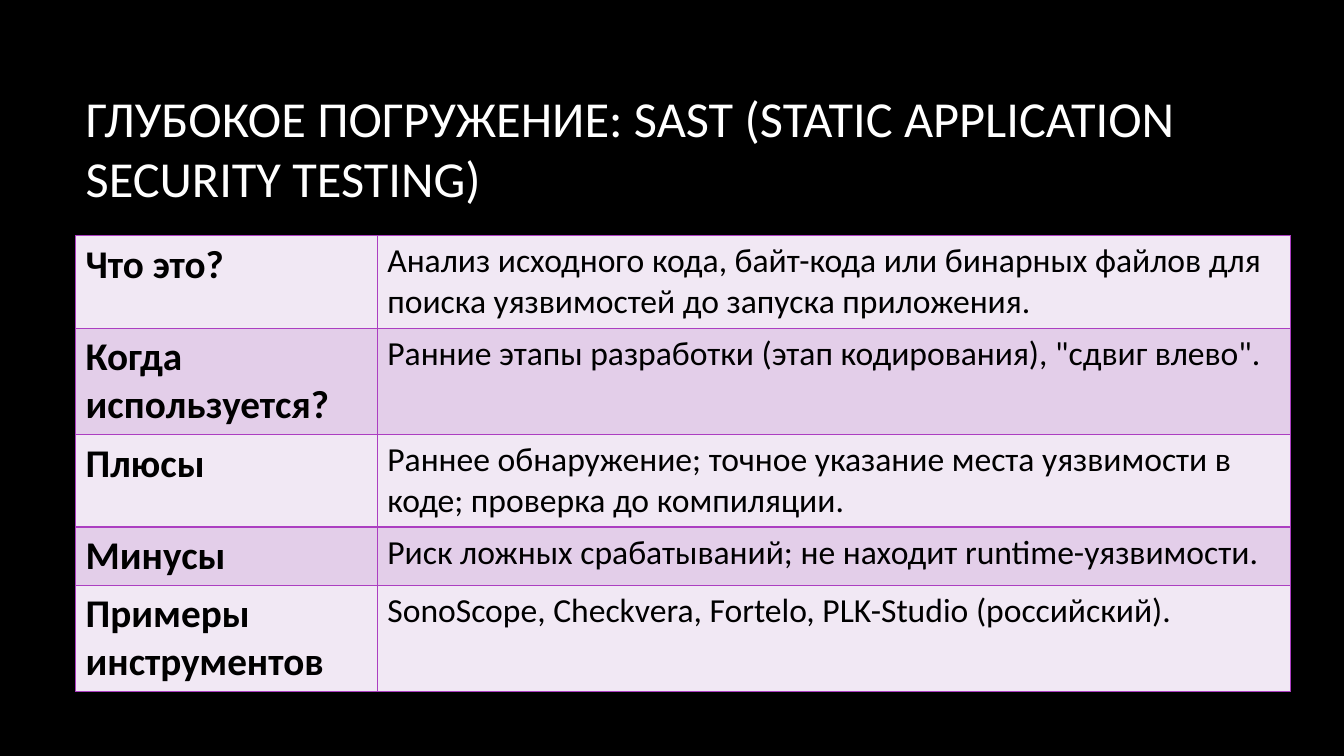
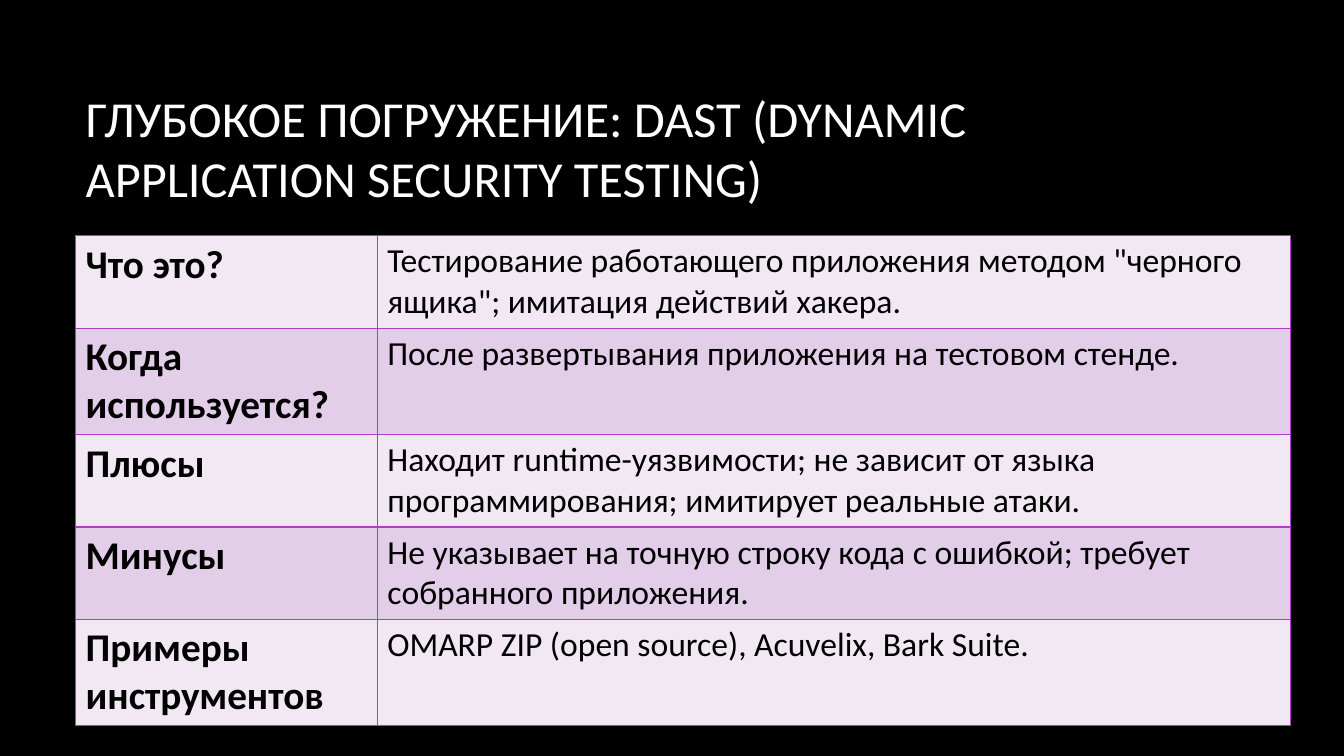
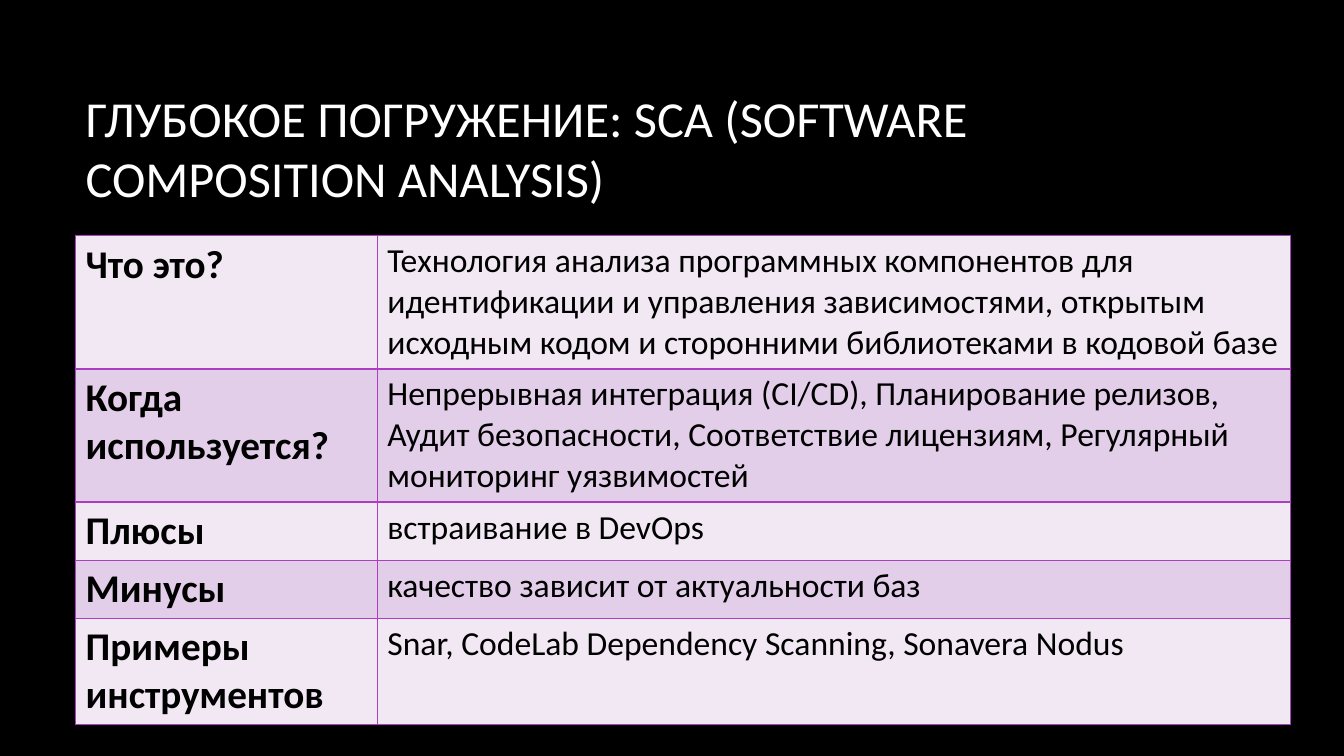
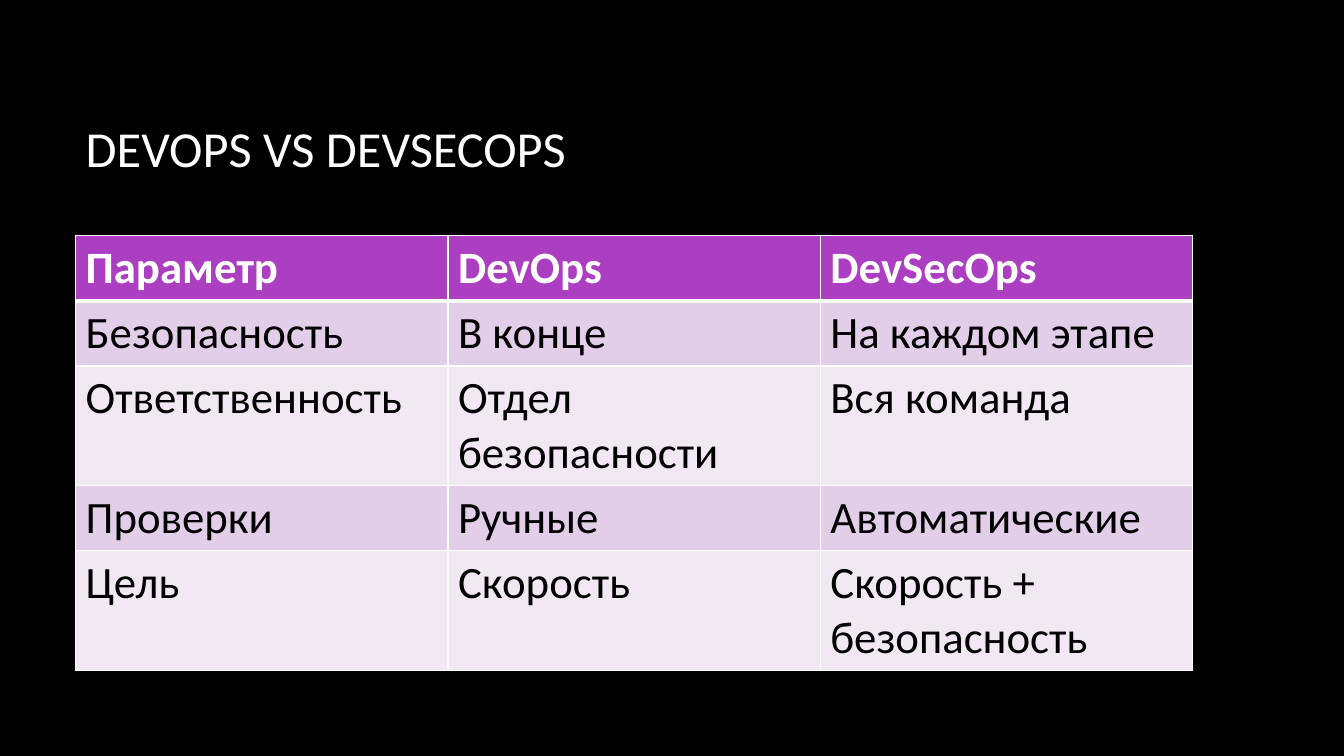
"""Build four slides on application security testing, each a title above a table."""
import pptx
import pptx.util
import pptx.dml.color
import pptx.enum.text
import pptx.oxml
import pptx.oxml.ns

Pt = pptx.util.Pt
RGBColor = pptx.dml.color.RGBColor

BLACK = RGBColor(0x00, 0x00, 0x00)
WHITE = RGBColor(0xFF, 0xFF, 0xFF)
PURPLE = RGBColor(0xAC, 0x3E, 0xC1)
LILAC = RGBColor(0xE3, 0xCE, 0xE9)
PALE = RGBColor(0xF1, 0xE8, 0xF4)
FONT = "Calibri"
LEFT = 54
TITLE_WIDTH = 798

TOPICS = ["Что это?\u00a0", "Когда используется?\u00a0", "Плюсы", "Минусы", "Примеры инструментов"]
METHODS = [
    ("ГЛУБОКОЕ ПОГРУЖЕНИЕ: SAST (STATIC APPLICATION SECURITY TESTING)",
     [66, 76, 66, 41.5, 76],
     ["Анализ исходного кода, байт-кода или бинарных файлов для поиска уязвимостей до запуска приложения.",
      "Ранние этапы разработки (этап кодирования), \"сдвиг влево\".",
      "Раннее обнаружение; точное указание места уязвимости в коде; проверка до компиляции.",
      "Риск ложных срабатываний; не находит runtime-уязвимости.",
      "SonoScope, Checkvera, Fortelo, PLK-Studio (российский)."]),
    ("ГЛУБОКОЕ ПОГРУЖЕНИЕ: DAST (DYNAMIC APPLICATION SECURITY TESTING)",
     [66, 76, 66, 66, 76],
     ["Тестирование работающего приложения методом \"черного ящика\"; имитация действий хакера.",
      "После развертывания приложения на тестовом стенде.",
      "Находит runtime-уязвимости; не зависит от языка программирования; имитирует реальные атаки.",
      "Не указывает на точную строку кода с ошибкой; требует собранного приложения.",
      "OMARP ZIP (open source), Acuvelix, Bark Suite."]),
    ("ГЛУБОКОЕ ПОГРУЖЕНИЕ: SCA (SOFTWARE COMPOSITION ANALYSIS)",
     [95, 95, 41.5, 41.5, 76],
     ["Технология анализа программных компонентов для идентификации и управления зависимостями, "
      "открытым исходным кодом и сторонними библиотеками в кодовой базе",
      "Непрерывная интеграция (CI/CD), Планирование релизов, Аудит безопасности, "
      "Соответствие лицензиям, Регулярный мониторинг уязвимостей",
      "встраивание в DevOps",
      "качество зависит от актуальности баз",
      "Snar, CodeLab Dependency Scanning, Sonavera Nodus"]),
]
COMPARISON = [
    ["Параметр", "DevOps", "DevSecOps"],
    ["Безопасность", "В конце", "На каждом этапе"],
    ["Ответственность", "Отдел безопасности", "Вся команда"],
    ["Проверки", "Ручные", "Автоматические"],
    ["Цель", "Скорость", "Скорость + безопасность"],
]


def write(para, text, size, color, bold=False):
    span = para.add_run()
    span.text = text
    span.font.name = FONT
    span.font.size = Pt(size)
    span.font.bold = bold
    span.font.color.rgb = color


def set_borders(cell, color, bottom=1):
    properties = cell._tc.get_or_add_tcPr()
    for index, (side, width) in enumerate([("L", 1), ("R", 1), ("T", 1), ("B", bottom)]):
        properties.insert(index, pptx.oxml.parse_xml(
            f'<a:ln{side} {pptx.oxml.ns.nsdecls("a")} w="{Pt(width)}">'
            f'<a:solidFill><a:srgbClr val="{color}"/></a:solidFill></a:ln{side}>'))


deck = pptx.Presentation()
deck.slide_width = Pt(960)
deck.slide_height = Pt(540)

background = deck.slide_master.background.fill
background.solid()
background.fore_color.rgb = BLACK

layout = deck.slide_layouts.get_by_name("Title Only")
frame = layout.placeholders[0]
frame.left, frame.top, frame.width, frame.height = Pt(LEFT), Pt(48), Pt(TITLE_WIDTH), Pt(114.5)

contents = [
    (title, heights, [215.5, 652.5], list(zip(TOPICS, answers)), False)
    for title, heights, answers in METHODS
]
contents.append(("DEVOPS VS DEVSECOPS", [46.5, 46.5, 85.5, 46.5, 85.5],
                 [TITLE_WIDTH / 3] * 3, COMPARISON, True))

for title, heights, widths, rows, has_header in contents:
    page = deck.slides.add_slide(layout)
    heading = page.shapes.title.text_frame
    heading.vertical_anchor = pptx.enum.text.MSO_ANCHOR.MIDDLE
    heading.paragraphs[0].alignment = pptx.enum.text.PP_ALIGN.LEFT
    write(heading.paragraphs[0], title, 36, WHITE)

    table = page.shapes.add_table(len(rows), len(widths), Pt(LEFT), Pt(168.5),
                                  Pt(sum(widths)), Pt(sum(heights))).table
    table.first_row = has_header
    for column, width in zip(table.columns, widths):
        column.width = Pt(width)

    for row_index, (texts, height) in enumerate(zip(rows, heights)):
        table.rows[row_index].height = Pt(height)
        is_header = has_header and row_index == 0
        row_fill = PURPLE if is_header else (LILAC if row_index % 2 else PALE)
        for column_index, text in enumerate(texts):
            is_topic = not has_header and column_index == 0
            size = 32 if has_header else (28 if is_topic else 24)
            cell = table.cell(row_index, column_index)
            cell.fill.solid()
            cell.fill.fore_color.rgb = row_fill
            set_borders(cell, WHITE if has_header else PURPLE, 3 if is_header else 1)
            write(cell.text_frame.paragraphs[0], text, size,
                  WHITE if is_header else BLACK, is_header or is_topic)

deck.save("out.pptx")
